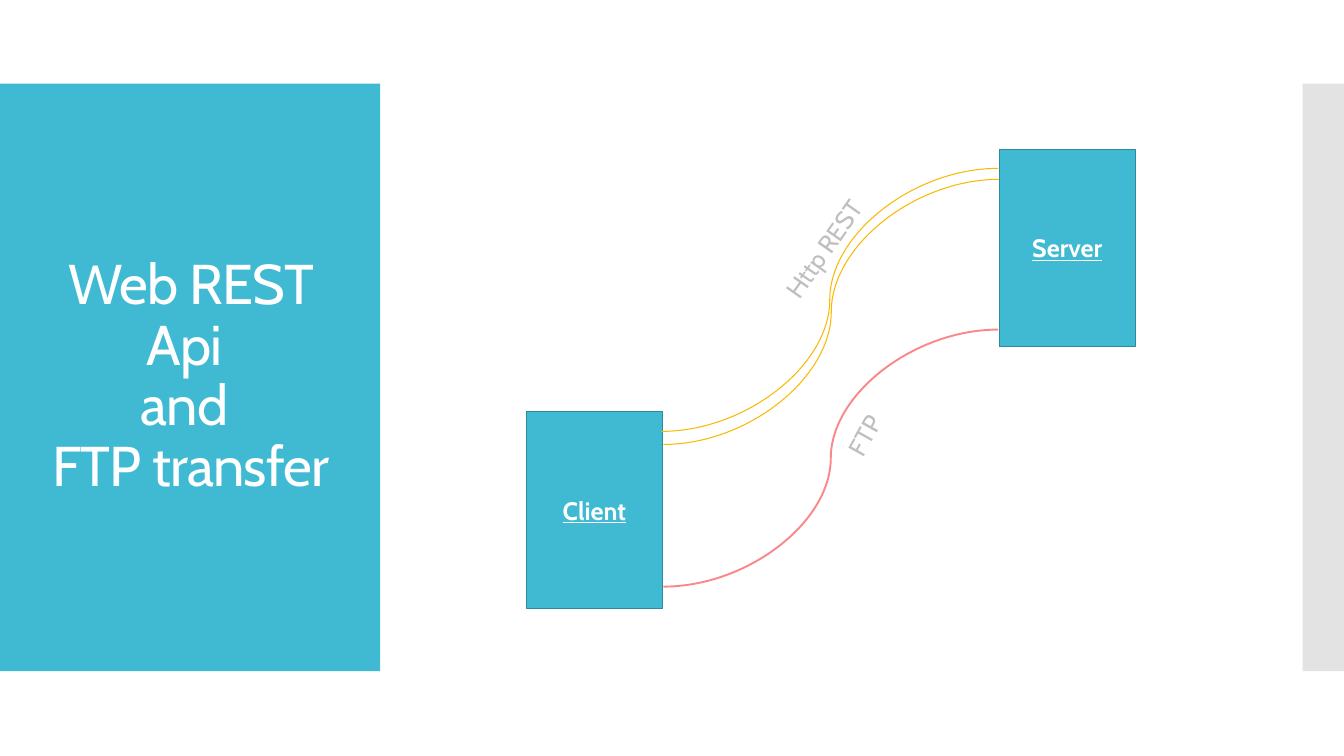
from copy import deepcopy

from lxml import etree
from pptx import Presentation
from pptx.dml.color import RGBColor
from pptx.enum.shapes import MSO_CONNECTOR, MSO_SHAPE
from pptx.enum.text import MSO_ANCHOR, MSO_AUTO_SIZE, PP_ALIGN
from pptx.oxml.ns import qn
from pptx.util import Inches, Pt

RECT, CURVE = MSO_SHAPE.RECTANGLE, MSO_CONNECTOR.CURVE
MIDDLE = MSO_ANCHOR.MIDDLE
LEFT, CENTER = PP_ALIGN.LEFT, PP_ALIGN.CENTER
NO_FIT, GROW = MSO_AUTO_SIZE.NONE, MSO_AUTO_SIZE.SHAPE_TO_FIT_TEXT


def paint(color_format, color, alpha=None):
    """Set a hex colour, with an optional opacity in percent."""
    color_format.rgb = RGBColor.from_string(color)


def set_alpha(element, percent):
    for clr in element.iter(qn("a:srgbClr")):
        etree.SubElement(clr, qn("a:alpha")).set("val", str(percent * 1000))


def write(tf, text, size=18, color="FFFFFF", font="Cabin", bold=False,
          underline=False, align=LEFT, line_spacing=None, tracking=None):
    p = tf.paragraphs[0]
    p.text = text
    p.alignment = align
    p.line_spacing = line_spacing
    for r in p.runs:
        r.font.name, r.font.size = font, Pt(size)
        r.font.bold, r.font.underline = bold, underline
        r.font.color.rgb = RGBColor.from_string(color)
        if tracking is not None:
            r.font._element.set("spc", str(round(tracking * 100)))
    # Line breaks take the same format as the runs
    for br in p._p.findall(qn("a:br")):
        br.append(deepcopy(p.runs[0].font._element))


class SlideBuilder:
    teal, teal_dark, grey = "40BAD2", "2F8A9B", "C8C8C8"
    yellow, red, label_grey = "FAB900", "F61217", "BFBFBF"

    def __init__(self, prs):
        self.slide = prs.slides.add_slide(prs.slide_layouts[5])
        self.shapes = self.slide.shapes

    def rect(self, x, y, w, h, fill, line=None, alpha=None):
        sp = self.shapes.add_shape(RECT, Inches(x), Inches(y), Inches(w), Inches(h))
        sp.shadow.inherit = False
        sp.fill.solid()
        paint(sp.fill.fore_color, fill)
        if alpha:
            set_alpha(sp._element.spPr, alpha)
        if line:
            paint(sp.line.color, line)
            sp.line.width = Pt(0.85)
        else:
            sp.line.fill.background()
        return sp

    def panel(self, x, w, fill, alpha=None):
        """Full-height side panel, placed behind the title."""
        sp = self.rect(x, 0.83, w, 5.83, fill, alpha=alpha)
        self.shapes._spTree.insert(2, sp._element)

    def title(self, text, x, y, w, h):
        sp = self.shapes.title
        sp.left, sp.top, sp.width, sp.height = map(Inches, (x, y, w, h))
        tf = sp.text_frame
        tf.word_wrap, tf.auto_size, tf.vertical_anchor = True, NO_FIT, MIDDLE
        write(tf, text, size=40, align=CENTER, line_spacing=0.9, tracking=-0.6)

    def node(self, text, x, y):
        sp = self.rect(x, y, 1.35, 1.96, self.teal, line=self.teal_dark)
        sp.text_frame.vertical_anchor = MIDDLE
        write(sp.text_frame, text, bold=True, underline=True, align=CENTER)

    def curve(self, x1, y1, x2, y2, color, width, alpha=None):
        cx = self.shapes.add_connector(CURVE, Inches(x1), Inches(y1), Inches(x2), Inches(y2))
        paint(cx.line.color, color)
        cx.line.width = Pt(width)
        sp_pr = cx._element.spPr
        if alpha:
            set_alpha(sp_pr, alpha)
        etree.SubElement(sp_pr, qn("a:effectLst"))

    def label(self, text, x, y, rotation):
        sp = self.shapes.add_textbox(Inches(x), Inches(y), Inches(3), Inches(0.4))
        sp.rotation = rotation
        tf = sp.text_frame
        tf.word_wrap, tf.auto_size = True, GROW
        write(tf, text, color=self.label_grey)


def main():
    prs = Presentation()
    prs.slide_width, prs.slide_height = Inches(13.33), Inches(7.5)
    s = SlideBuilder(prs)

    # Side panels and title
    s.panel(0, 3.77, s.teal)
    s.panel(12.92, 0.41, s.grey, alpha=50)
    s.title("Web REST Api \vand \vFTP transfer", 0.28, 1.23, 3.22, 5.03)

    # Two ends of the transfer
    s.node("Server", 9.91, 1.48)
    s.node("Client", 5.22, 4.08)

    # HTTP pair and FTP link
    s.curve(6.56, 4.28, 9.9, 1.67, s.yellow, 0.75)
    s.curve(6.58, 4.41, 9.91, 1.78, s.yellow, 0.75)
    s.curve(6.58, 5.82, 9.9, 3.27, s.red, 1.35, alpha=50)

    # Link labels
    s.label("Http REST", 7.15, 1.58, 305)
    s.label("FTP", 7.65, 3.07, 299)

    prs.save("out.pptx")


if __name__ == "__main__":
    main()
